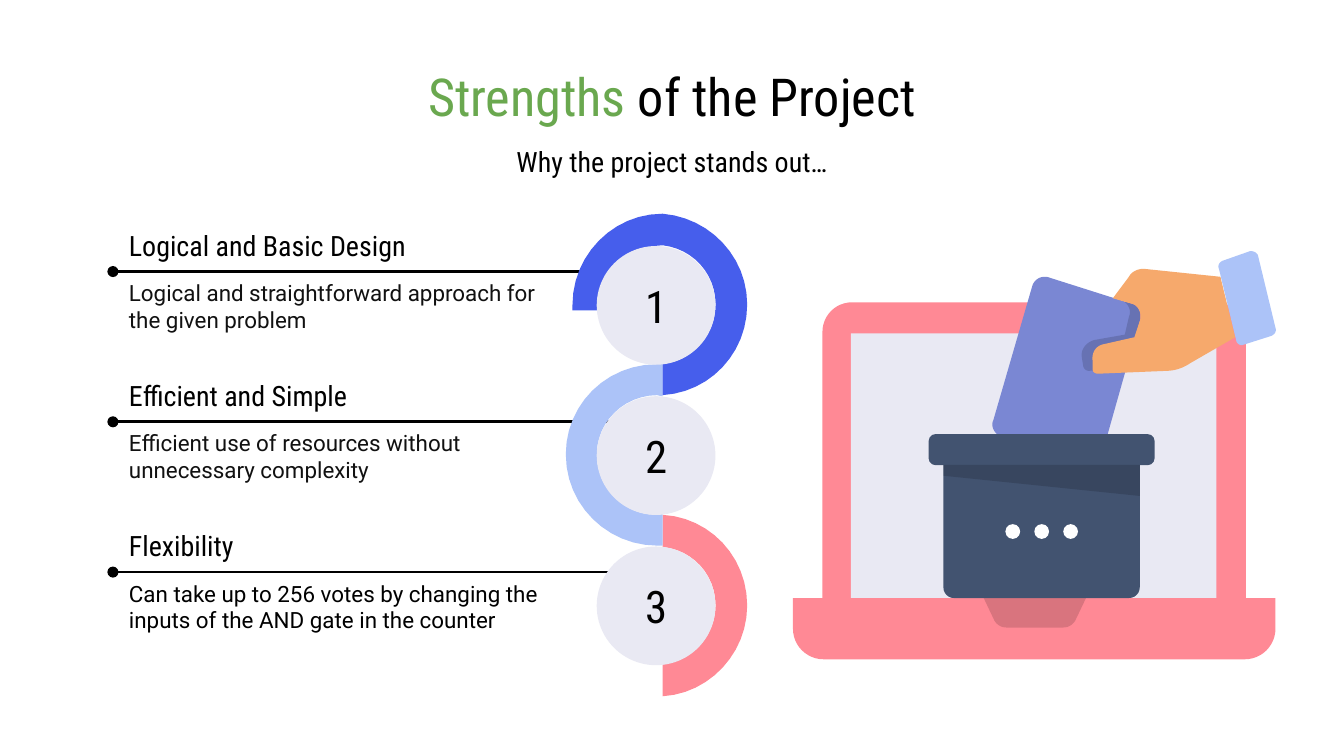
"""Build the "Strengths of the Project" slide with a numbered chain and a ballot drawing."""
from pptx import Presentation
from pptx.dml.color import RGBColor
from pptx.enum.shapes import MSO_CONNECTOR, MSO_SHAPE
from pptx.enum.text import MSO_ANCHOR, PP_ALIGN
from pptx.oxml.ns import qn
from pptx.util import Pt
from lxml import etree

STRAIGHT = MSO_CONNECTOR.STRAIGHT
OVAL, RECT = MSO_SHAPE.OVAL, MSO_SHAPE.RECTANGLE
ROUND, ROUND2 = MSO_SHAPE.ROUNDED_RECTANGLE, MSO_SHAPE.ROUND_2_SAME_RECTANGLE
TOP, MIDDLE = MSO_ANCHOR.TOP, MSO_ANCHOR.MIDDLE
LEFT, CENTER = PP_ALIGN.LEFT, PP_ALIGN.CENTER
PATH = "freeform"
HEAD, BODY = "Roboto Condensed", "Roboto"
BLACK, INK, GREEN, WHITE = "000000", "111111", "6AA84F", "FFFFFF"
BLUE, SKY, PINK, PALE = "465EEC", "ACC3F8", "FF8995", "E9E9F3"
SLATE, VIOLET, SKIN = "425370", "7A87D3", "F6A96C"
PITCH, STEPS = 80.5, 12


def draw(kind, geom, color, alpha=None, adj=()):
    """Add a preset (geom is a box) or a freeform (geom is points and Bézier triples)."""
    if kind == PATH:
        x, y = geom[0]
        fb = s.shapes.build_freeform(Pt(x), Pt(y))
        pts = []
        for seg in geom[1:]:
            if len(seg) == 6:
                x1, y1, x2, y2, x3, y3 = seg
                for t in (i / STEPS for i in range(1, STEPS + 1)):
                    a, b, c, d = (1 - t) ** 3, 3 * t * (1 - t) ** 2, 3 * t * t * (1 - t), t ** 3
                    pts.append((Pt(a * x + b * x1 + c * x2 + d * x3),
                                Pt(a * y + b * y1 + c * y2 + d * y3)))
            else:
                pts.append((Pt(seg[0]), Pt(seg[1])))
            x, y = seg[-2:]
        fb.add_line_segments(pts, close=True)
        sp = fb.convert_to_shape()
    else:
        sp = s.shapes.add_shape(kind, *map(Pt, geom))
    for i, value in enumerate(adj):
        sp.adjustments[i] = value
    sp.shadow.inherit = False
    sp.line.fill.background()
    sp.fill.solid()
    sp.fill.fore_color.rgb = RGBColor.from_string(color)
    if alpha:
        clr = sp.fill._xPr.find(qn("a:solidFill"))[0]
        etree.SubElement(clr, qn("a:alpha"), val=str(alpha * 1000))
    return sp


def write(sp, runs, size, font, align=LEFT, anchor=TOP, top=1.4):
    """Fill a shape with one paragraph of (text, colour) runs."""
    tf = sp.text_frame
    frame = {"word_wrap": True, "vertical_anchor": anchor, "margin_left": Pt(7.2),
             "margin_right": Pt(7.2), "margin_top": Pt(top), "margin_bottom": Pt(7.2)}
    for name, value in frame.items():
        setattr(tf, name, value)
    p = tf.paragraphs[0]
    p.alignment = align
    for text, color in runs:
        r = p.add_run()
        r.text = text
        for name, value in {"size": Pt(size), "name": font}.items():
            setattr(r.font, name, value)
        r.font.color.rgb = RGBColor.from_string(color)


prs = Presentation()
prs.slide_width, prs.slide_height = Pt(720), Pt(405)
s = prs.slides.add_slide(prs.slide_layouts[6])

for i in range(3):
    y = Pt(145.5 + i * PITCH)
    cx = s.shapes.add_connector(STRAIGHT, Pt(334), y, Pt(60.5), y)
    cx.line.width = Pt(1.5)
    cx.line.color.rgb = RGBColor.from_string(BLACK)
    etree.SubElement(cx.line._get_or_add_ln(), qn("a:tailEnd"), type="oval")
    etree.SubElement(cx._element.spPr, qn("a:effectLst"))

rings = [
    (PINK, [(355, 275.8), (355, 293), (370.8, 294.5, 383.4, 307.4, 383.4, 324.4),
            (383.4, 340.6, 370.8, 354.2, 355, 355.7), (355, 373),
            (380.2, 371.5, 400.3, 349.9, 400.3, 324.4),
            (400.3, 298.1, 380.2, 277.2, 355, 275.8)]),
    (SKY, [(352.1, 195.1), (324.7, 195.1, 303.1, 216.7, 303.1, 243.4),
           (303.1, 270.7, 325.4, 292.3, 352.1, 292.3), (355, 292.3), (355, 275.4),
           (351.4, 275.8), (334.1, 275.8, 319.7, 261.4, 319.7, 243.4),
           (319.7, 226.1, 334.1, 211.7, 352.1, 211.7), (355, 212.4), (355, 195.1)]),
    (BLUE, [(355, 114.5), (328.3, 114.5, 306.7, 136.8, 306.7, 163.4), (306.7, 166.3),
            (323.3, 166.3), (323.3, 163.4), (323.3, 145.4, 337.7, 131.8, 355, 131.4),
            (370.8, 133.2, 383.4, 146.2, 383.4, 163.1),
            (383.4, 180, 370.8, 193, 355, 195.1), (355, 211.7),
            (380.2, 210.2, 400.3, 189.4, 400.3, 163.1),
            (400.3, 137.5, 380.2, 116.6, 355, 114.5)]),
]
for color, outline in rings:
    draw(PATH, outline, color)

for i in range(3):
    sp = draw(OVAL, (319.7, 131.8 + i * PITCH, 63.6, 63.6), PALE)
    write(sp, [(str(i + 1), BLACK)], 24, HEAD, CENTER, MIDDLE, 7.2)

headings = [
    (32.4, 38.2, 28, [("Strengths ", GREEN), ("of the Project", BLACK)]),
    (72, 28.8, 15, [("Why the project stands out…", BLACK)]),
]
for top, height, size, runs in headings:
    sp = s.shapes.add_textbox(Pt(36), Pt(top), Pt(648), Pt(height))
    write(sp, runs, size, HEAD, CENTER, MIDDLE, 7.2)

strengths = [
    ("Logical and Basic Design",
     "Logical and straightforward approach for the given problem", INK),
    ("Efficient and Simple",
     "Efficient use of resources without unnecessary complexity", INK),
    ("Flexibility",
     "Can take up to 256 votes by changing the inputs of the AND gate in the counter", BLACK),
]
for i, (name, detail, color) in enumerate(strengths):
    sp = s.shapes.add_textbox(Pt(62), Pt(121 + i * PITCH), Pt(241.2), Pt(20.9))
    write(sp, [(name, BLACK)], 15, HEAD)
    sp = s.shapes.add_textbox(Pt(62), Pt(148.2 + i * PITCH), Pt(241.2), Pt(33.8))
    write(sp, [(detail, color)], 12, BODY)

slot = [(527, 320.4), (532.8, 332.6), (534.2, 334.8, 536.4, 336.2, 539.3, 336.2),
        (569.5, 336.2), (572.4, 336.2, 574.6, 334.8, 576, 332.6), (581.8, 320.4)]
card = [(559.4, 148.3), (556.6, 148.3, 553.7, 150.5, 553, 153.4), (532.1, 225.4),
        (530.6, 228.2, 532.8, 232.6, 536.4, 234), (581.8, 247.7),
        (582.5, 248.4, 583.2, 248.4, 583.9, 248.4),
        (586.8, 248.4, 589, 246.2, 590.4, 243.4), (603.4, 197.3), (610.6, 172.1),
        (612, 167.8, 609.8, 163.4, 606.2, 162.7), (560.9, 148.3)]
hand_shade = [(601.9, 161.3), (604.8, 163.4, 606.2, 166.3, 604.8, 169.9), (602.6, 179.3),
              (586.1, 182.2), (581.8, 183.6, 578.9, 187.2, 579.6, 191.5), (580.3, 195.8),
              (580.3, 197.3, 581.8, 198.7, 583.2, 198.7), (603.4, 197.3), (610.6, 172.1),
              (612, 167.8, 609.8, 163.4, 606.2, 162.7)]
hand = [(612.7, 144), (609.8, 144, 606.2, 145.4, 604.8, 148.3), (596.2, 159.8),
        (606.2, 162.7), (609.8, 163.4, 612, 167.8, 610.6, 172.1), (607.7, 180.7),
        (591.8, 184.3), (586.8, 185, 584.6, 189.4, 585.4, 193.7), (585.4, 198),
        (585.4, 199.4, 586.8, 200.2, 588.2, 200.2), (624.2, 198.7),
        (629.3, 198.7, 633.6, 197.3, 637.9, 194.4), (661.7, 180.7), (653.8, 148.3)]
cuff = [(669.6, 134.6), (655.2, 139.7), (653, 140.4, 652.3, 142.6, 653, 144),
        (662.4, 182.9), (662.4, 183.6, 663.8, 185, 665.3, 185), (681.1, 180),
        (682.6, 179.3, 684, 177.8, 683.3, 175.7), (673.9, 136.8),
        (673.2, 135.4, 671.8, 134.6, 670.3, 134.6)]
lid_shade = [(505.4, 249.1), (505.4, 254.9), (610.6, 265.7), (610.6, 249.1)]

draw(ROUND2, (440.6, 162, 226.8, 158.4), PINK, adj=(0.1, 0))
draw(RECT, (455.8, 178.6, 195.8, 141.8), PALE)
draw(ROUND2, (424.8, 320.4, 258.5, 32.8), PINK, adj=(0, 0.5))
draw(PATH, slot, BLACK, 15)
draw(PATH, card, VIOLET)
draw(PATH, hand_shade, BLACK, 15)
draw(PATH, hand, SKIN)
draw(PATH, cuff, SKY)
draw(ROUND, (497.5, 232.6, 121, 16.6), SLATE, adj=(0.22,))
draw(ROUND2, (505.4, 249.1, 105.2, 71.3), SLATE, adj=(0, 0.08))
draw(PATH, lid_shade, BLACK, 15)
for i in range(3):
    draw(OVAL, (538.6 + i * 15.5, 280.8, 7.9, 7.9), WHITE)

prs.save("out.pptx")
